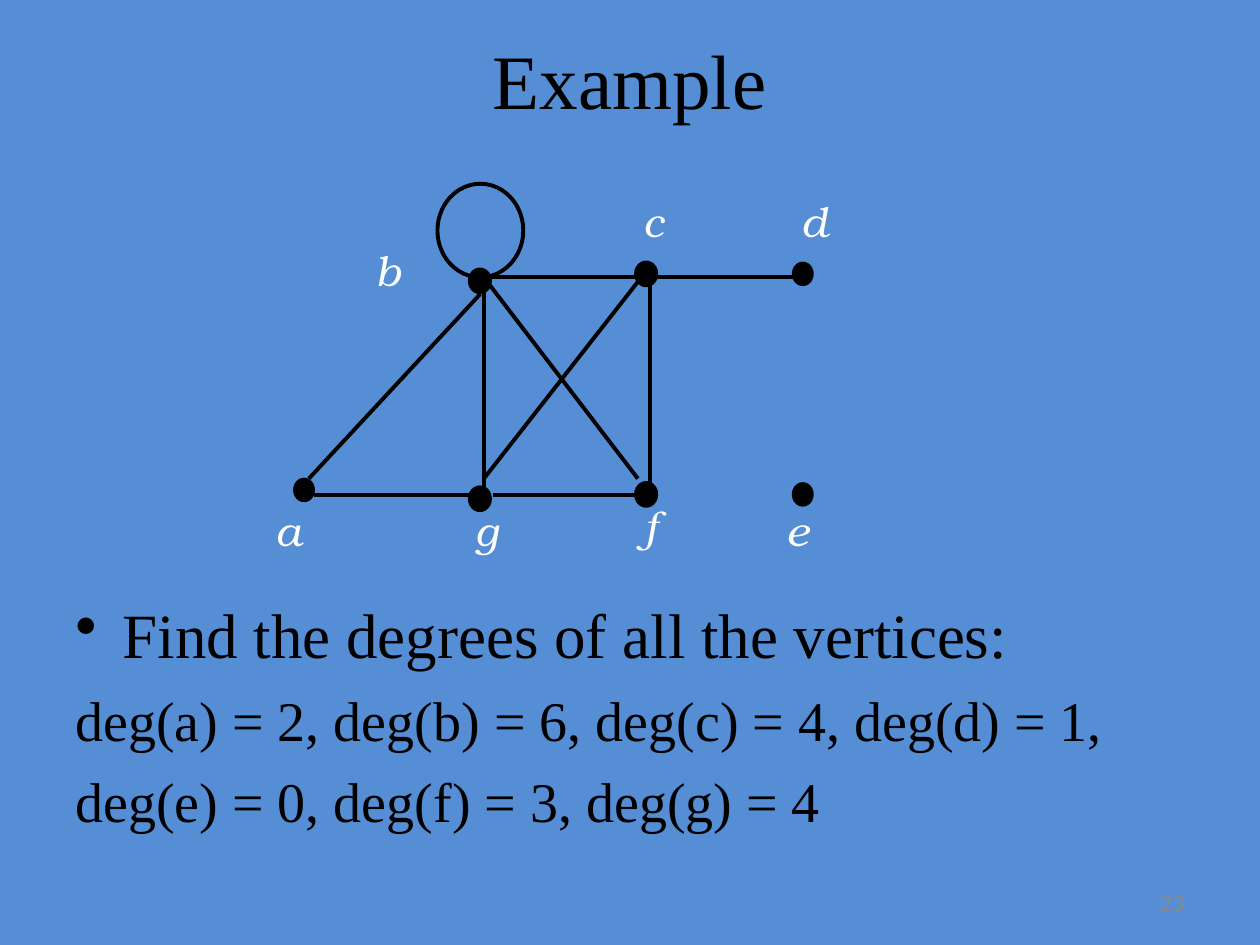
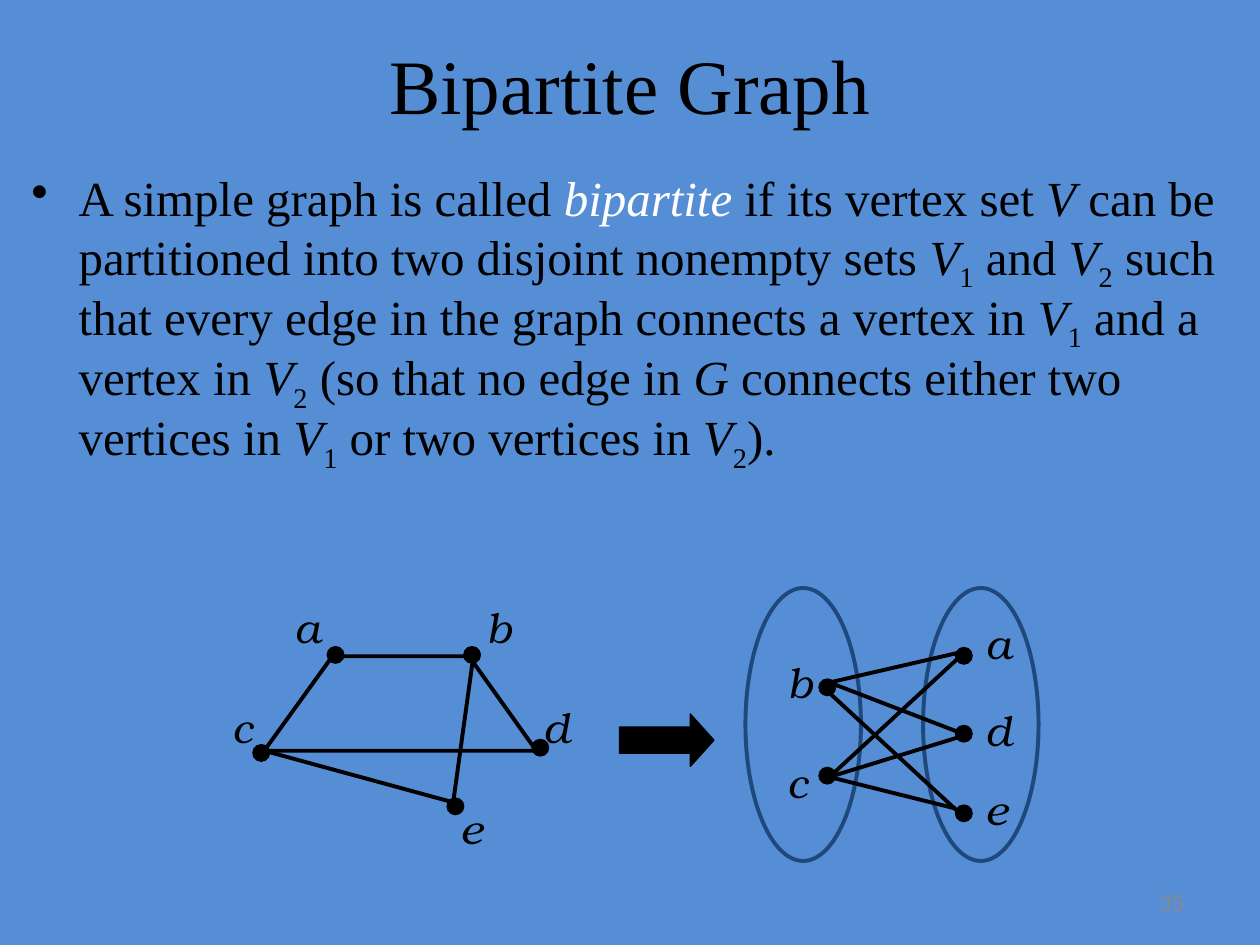
from collections import namedtuple

from lxml.etree import SubElement
from pptx import Presentation
from pptx.dml.color import RGBColor
from pptx.enum.shapes import MSO_CONNECTOR as Connector, MSO_SHAPE as Shape
from pptx.enum.text import MSO_ANCHOR as Anchor, PP_ALIGN as Align
from pptx.oxml.ns import qn
from pptx.util import Pt

BLUE = RGBColor(0x55, 0x8E, 0xD5)
NAVY = RGBColor(0x1F, 0x49, 0x7D)
BLACK = RGBColor(0, 0, 0)
WHITE = RGBColor(255, 255, 255)
GREY = RGBColor(0x89, 0x89, 0x89)
SERIF, LABEL_FONT, NUMBER_FONT = "Times New Roman", "TeX Gyre Bonum", "Calibri"
EDGE_WIDTH = 2.25
INDENT = 27

Box = namedtuple("Box", "left top width height")


# Shared drawing helpers
def place(box, x, y, width, height):
    """Lengths of a part whose corner is x, y inside the box."""
    return Pt(box.left + x), Pt(box.top + y), Pt(width), Pt(height)


def style_font(font, name, size, color, italic=False):
    font.name, font.size, font.italic = name, Pt(size), italic
    font.color.rgb = color


def add_text_frame(page, box, margin_x=7.2, margin_y=3.6):
    frame = page.shapes.add_textbox(*place(box, 0, 0, box.width, box.height)).text_frame
    frame.word_wrap = True
    frame.margin_left = frame.margin_right = Pt(margin_x)
    frame.margin_top = frame.margin_bottom = Pt(margin_y)
    return frame


def add_line_of_text(page, box, text, name, size, color, align, italic=False, margin=7.2):
    frame = add_text_frame(page, box, margin, margin / 2)
    frame.vertical_anchor = Anchor.MIDDLE if margin else Anchor.TOP
    para = frame.paragraphs[0]
    para.text, para.alignment = text, align
    style_font(para.runs[0].font, name, size, color, italic)


def paint(shape, fill=None, line=BLACK, width=EDGE_WIDTH):
    shape.shadow.inherit = False
    if fill is None:
        shape.fill.background()
    else:
        shape.fill.solid()
        shape.fill.fore_color.rgb = fill
    shape.line.color.rgb = line
    shape.line.width = Pt(width)


def hang(para, bullet=False):
    properties = para._p.get_or_add_pPr()
    properties.set("marL", str(Pt(INDENT)))
    properties.set("indent", str(Pt(-INDENT)))
    if bullet:
        color = SubElement(properties, qn("a:buClr"))
        SubElement(color, qn("a:srgbClr")).set("val", str(BLACK))
        SubElement(properties, qn("a:buChar")).set("char", "•")
    else:
        SubElement(properties, qn("a:buNone"))


# Parts of a graph
def add_edges(page, box, edges):
    for x1, y1, x2, y2 in edges:
        edge = page.shapes.add_connector(
            Connector.STRAIGHT, Pt(box.left + x1), Pt(box.top + y1),
            Pt(box.left + x2), Pt(box.top + y2))
        edge.line.color.rgb = BLACK
        edge.line.width = Pt(EDGE_WIDTH)
        SubElement(edge._element.spPr, qn("a:effectLst"))


def add_vertices(page, box, corners, width, height, outline):
    for x, y in corners:
        dot = page.shapes.add_shape(Shape.OVAL, *place(box, x, y, width, height))
        paint(dot, BLACK, width=outline)


def add_labels(page, box, labels, color):
    for letter, x, y in labels:
        spot = Box(box.left + x, box.top + y, 24, 29)
        add_line_of_text(page, spot, letter, LABEL_FONT, 24, color, Align.LEFT, True, 0)


def add_outline_oval(page, box, x, y, width, height, color):
    oval = page.shapes.add_shape(Shape.OVAL, *place(box, x, y, width, height))
    paint(oval, line=color)


# Slide frame: background, title, number
def add_page(deck, title, title_height, number):
    page = deck.slides.add_slide(deck.slide_layouts[6])
    page.background.fill.solid()
    page.background.fill.fore_color.rgb = BLUE
    add_line_of_text(page, Box(36, 12, 648, title_height), title,
                     SERIF, 44, BLACK, Align.CENTER)
    add_line_of_text(page, Box(516, 500.5, 168, 29), number,
                     NUMBER_FONT, 14, GREY, Align.RIGHT)
    return page


# Graph with a loop at b and an isolated vertex e
def add_degree_graph(page, box):
    top, bottom = 53.5, 178
    add_edges(page, box, [
        (130.5, top, 227.5, top), (227.5, top, 317.5, top),            # b-c, c-d
        (35.5, bottom, 124.5, bottom), (138, bottom, 227.5, bottom),   # a-g, g-f
        (132.5, 62, 132.5, 177), (227.5, top, 227.5, 177),             # b-g, c-f
        (132.5, top, 220.5, 168.5), (222.5, top, 132.5, 168.5),        # b-f, c-g
        (130.5, 63, 32.5, 168.5),                                      # b-a
    ])
    add_outline_oval(page, box, 106, 0, 49, 53.5, BLACK)
    add_vertices(page, box, [(124.5, 49), (124.5, 173.5), (219.5, 45), (219.5, 171)],
                 11.5, 13, EDGE_WIDTH)
    add_vertices(page, box, [(24, 168.5), (309, 45), (309, 171)], 11.5, 13, 1)
    add_labels(page, box, [
        ("a", 13.5, 183.5), ("b", 70.5, 34.5), ("c", 224, 6.5), ("d", 314, 6.5),
        ("e", 305.5, 183.5), ("f", 224, 181), ("g", 127.5, 183.5)], WHITE)


def add_degree_list(page, box):
    frame = add_text_frame(page, box)
    lines = ["Find the degrees of all the vertices:",
             "deg(a) = 2, deg(b) = 6, deg(c) = 4, deg(d) = 1,",
             "deg(e) = 0, deg(f) = 3, deg(g) = 4"]
    for index, line in enumerate(lines):
        para = frame.add_paragraph() if index else frame.paragraphs[0]
        para.text = line
        hang(para, bullet=index == 0)
        if index:
            para.space_before = Pt(8)
        style_font(para.runs[0].font, SERIF, 32 if index else 36, BLACK)


# Definition with italic symbols and subscripts
def add_definition(page, box):
    set_1 = [("V", "italic"), ("1", "sub")]
    set_2 = [("V", "italic"), ("2", "sub")]
    pieces = [
        ("A simple graph is called ", ""), ("bipartite", "term"),
        (" if its vertex set ", ""), ("V", "italic"),
        (" can be partitioned into two disjoint nonempty sets ", ""), *set_1,
        (" and ", ""), *set_2,
        (" such that every edge in the graph connects a vertex in ", ""), *set_1,
        (" and a vertex in ", ""), *set_2,
        (" (so that no edge in ", ""), ("G", "italic"),
        (" connects either two vertices in ", ""), *set_1,
        (" or two vertices in ", ""), *set_2, (").", ""),
    ]
    para = add_text_frame(page, box, margin_x=0).paragraphs[0]
    hang(para, bullet=True)
    para.line_spacing = 0.9
    for text, style in pieces:
        span = para.add_run()
        span.text = text
        style_font(span.font, SERIF, 28, WHITE if style == "term" else BLACK,
                   style in ("term", "italic"))
        if style == "sub":
            span._r.get_or_add_rPr().set("baseline", "-25000")


# The graph as first given
def add_plain_graph(page, box):
    corners = [(19, 89), (58, 35), (136, 35), (174.5, 89)]
    points = [(Pt(box.left + x), Pt(box.top + y)) for x, y in corners]
    builder = page.shapes.build_freeform(*points[0])
    builder.add_line_segments(points[1:], close=True)
    paint(builder.convert_to_shape())
    add_edges(page, box, [(138.5, 35, 127, 118.5), (127, 118.5, 19, 89)])
    add_vertices(page, box, [(55, 29.5), (133, 29.5), (12.5, 85.5), (172, 82.5),
                             (123.5, 116)], 9.5, 9.5, 0.75)
    add_labels(page, box, [("a", 36.5, 3.5), ("b", 146, 3.5), ("c", 1, 61),
                           ("d", 178.5, 61), ("e", 131, 118.5)], BLACK)


# The same graph split into two vertex sets
def add_split_graph(page, box):
    for x in (0, 101.5):
        add_outline_oval(page, box, x, 0, 66, box.height, NAVY)
    add_vertices(page, box, [(42, 52), (42, 102.5), (120, 34), (120, 78.5), (120, 124)],
                 9.5, 9.5, 0.75)
    add_labels(page, box, [("b", 24, 39), ("c", 24, 96.5), ("a", 137, 17),
                           ("d", 137, 66.5), ("e", 137, 112)], BLACK)
    add_edges(page, box, [
        (48, 54, 126, 36), (48, 54, 126, 84), (48, 60, 126, 132),      # from b
        (48, 108, 126, 36), (48, 108, 126, 84), (48, 108, 120, 126),   # from c
    ])


def add_arrow(page, box):
    arrow = page.shapes.add_shape(Shape.RIGHT_ARROW,
                                  *place(box, 0, 0, box.width, box.height))
    arrow.adjustments[0], arrow.adjustments[1] = 0.5, 0.45
    paint(arrow, BLACK, width=0.75)


def build_example(deck):
    page = add_page(deck, "Example", 66, "23")
    add_degree_list(page, Box(36, 337, 648, 178.5))
    add_degree_graph(page, Box(144, 105, 336, 216))


def build_bipartite(deck):
    page = add_page(deck, "Bipartite Graph", 72, "35")
    add_definition(page, Box(18, 96, 684, 228))
    add_plain_graph(page, Box(132, 340, 204, 150))
    add_arrow(page, Box(354, 408, 54, 30))
    add_split_graph(page, Box(426, 336, 168, 156))


def main():
    deck = Presentation()
    deck.slide_width, deck.slide_height = Pt(720), Pt(540)
    build_example(deck)
    build_bipartite(deck)
    deck.save("out.pptx")


if __name__ == "__main__":
    main()
